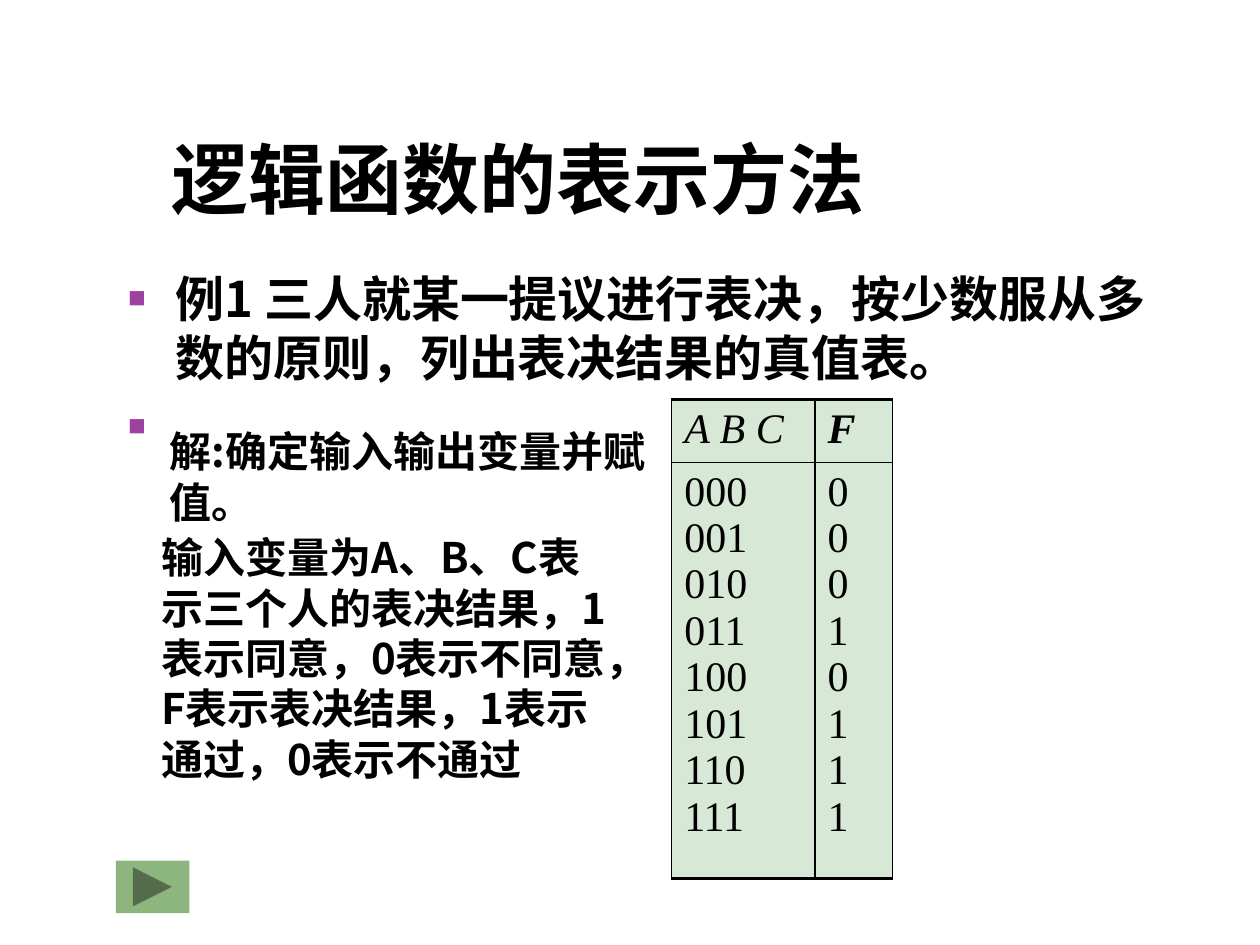
from dataclasses import dataclass

from lxml.etree import SubElement
from pptx import Presentation
from pptx.dml.color import RGBColor
from pptx.enum.shapes import MSO_SHAPE as Preset
from pptx.enum.text import MSO_ANCHOR as Anchor
from pptx.oxml import parse_xml
from pptx.oxml.ns import nsdecls, qn
from pptx.util import Pt


@dataclass(frozen=True)
class Theme:
    """Colours, fonts and type sizes of the slide."""
    ink: str = "000000"
    bullet: str = "9C41A0"
    cell: str = "D8E8D6"
    button: str = "8DB57E"
    sans: str = "Noto Sans CJK SC"
    serif: str = "Times New Roman"
    title: int = 44
    body: int = 28
    note: int = 24


THEME = Theme()
VOTES = [("000", "0"), ("001", "0"), ("010", "0"), ("011", "1"),
         ("100", "0"), ("101", "1"), ("110", "1"), ("111", "1")]


def add_bullet(paragraph):
    """Give a paragraph a hanging square bullet."""
    properties = paragraph._p.get_or_add_pPr()
    properties.set("marL", str(Pt(27)))
    properties.set("indent", str(-Pt(27)))
    colour = SubElement(properties, qn("a:buClr"))
    SubElement(colour, qn("a:srgbClr"), val=THEME.bullet)
    SubElement(properties, qn("a:buSzPct"), val="60000")
    SubElement(properties, qn("a:buFont"), typeface="Arial")
    SubElement(properties, qn("a:buChar"), char="■")


def write_text(frame, lines, size=THEME.note, font=THEME.sans, bold=True,
               italic=False, bullet=False, gap=0, anchor=Anchor.TOP):
    """Write one paragraph per line into a text frame."""
    frame.word_wrap = True
    frame.vertical_anchor = anchor
    for index, line in enumerate(lines):
        paragraph = frame.add_paragraph() if index else frame.paragraphs[0]
        paragraph.space_before = Pt(gap if index else 0)
        if bullet:
            add_bullet(paragraph)
        run = paragraph.add_run()
        run.text = line
        run.font.size = Pt(size)
        run.font.bold, run.font.italic = bold, italic
        run.font.color.rgb = RGBColor.from_string(THEME.ink)
        run.font.name = font
        SubElement(run._r.get_or_add_rPr(), qn("a:ea"), typeface=font)


def add_text(slide, box, lines, **text_format):
    """Place a text box with formatted lines."""
    shape = slide.shapes.add_textbox(*map(Pt, box))
    write_text(shape.text_frame, lines, **text_format)


def set_borders(cell, **widths):
    """Draw the cell borders in schema order with the given widths."""
    properties = cell._tc.get_or_add_tcPr()
    for index, side in enumerate("LRTB"):
        properties.insert(index, parse_xml(
            f'<a:ln{side} {nsdecls("a")} w="{Pt(widths[side])}"><a:solidFill>'
            f'<a:srgbClr val="{THEME.ink}"/></a:solidFill></a:ln{side}>'))


def add_truth_table(slide, box):
    """Place the truth table with a header row and one tall row of values."""
    left, top, width, height = box
    frame = slide.shapes.add_table(2, 2, Pt(left), Pt(top), Pt(width), Pt(height))
    table = frame.table
    table.columns[0].width, table.columns[1].width = Pt(82), Pt(width - 82)
    table.rows[0].height, table.rows[1].height = Pt(36), Pt(height - 36)
    inputs, outputs = zip(*VOTES)
    for row, contents in enumerate([(["A B C"], ["F"]), (inputs, outputs)]):
        for column, lines in enumerate(contents):
            cell = table.cell(row, column)
            cell.fill.solid()
            cell.fill.fore_color.rgb = RGBColor.from_string(THEME.cell)
            header = row == 0
            write_text(cell.text_frame, lines, font=THEME.serif,
                       bold=header and column == 1, italic=header)
            set_borders(cell, L=1 if column else 0.75, R=0.75 if column else 1,
                        T=2 if header else 1, B=1 if header else 2)


def add_next_button(slide, box):
    """Place the forward button."""
    shape = slide.shapes.add_shape(Preset.ACTION_BUTTON_FORWARD_OR_NEXT, *map(Pt, box))
    shape.shadow.inherit = False
    shape.fill.solid()
    shape.fill.fore_color.rgb = RGBColor.from_string(THEME.button)
    shape.line.fill.background()


def add_solution(slide, box):
    """Place the two blocks of the worked solution, the second set further left."""
    left, top, width, height = box
    add_text(slide, (left + 5, top, width - 5, 65.5), ["解:确定输入输出变量并赋值。"])
    add_text(slide, (left, top + 60.5, 270, height - 60.5),
             ["输入变量为A、B、C表示三个人的表决结果，1表示同意，0表示不同意，"
              "F表示表决结果，1表示通过，0表示不通过"])


def build_slide(presentation):
    """Lay out the whole slide."""
    slide = presentation.slides.add_slide(presentation.slide_layouts[6])
    add_text(slide, (90.7, 16.5, 684.5, 115.2), ["逻辑函数的表示方法"],
             size=THEME.title, anchor=Anchor.BOTTOM)
    add_text(slide, (66.2, 149.8, 612, 324),
             ["例1 三人就某一提议进行表决，按少数服从多数的原则，列出表决结果的真值表。", " "],
             size=THEME.body, bullet=True, gap=5.6)
    add_truth_table(slide, (383.8, 228.2, 126, 273.6))
    add_next_button(slide, (66.2, 491.8, 42, 30))
    add_solution(slide, (85, 239.8, 298.8, 257))


def main():
    """Build and save the presentation."""
    presentation = Presentation()
    presentation.slide_width, presentation.slide_height = Pt(720), Pt(540)
    build_slide(presentation)
    presentation.save("out.pptx")


if __name__ == "__main__":
    main()
